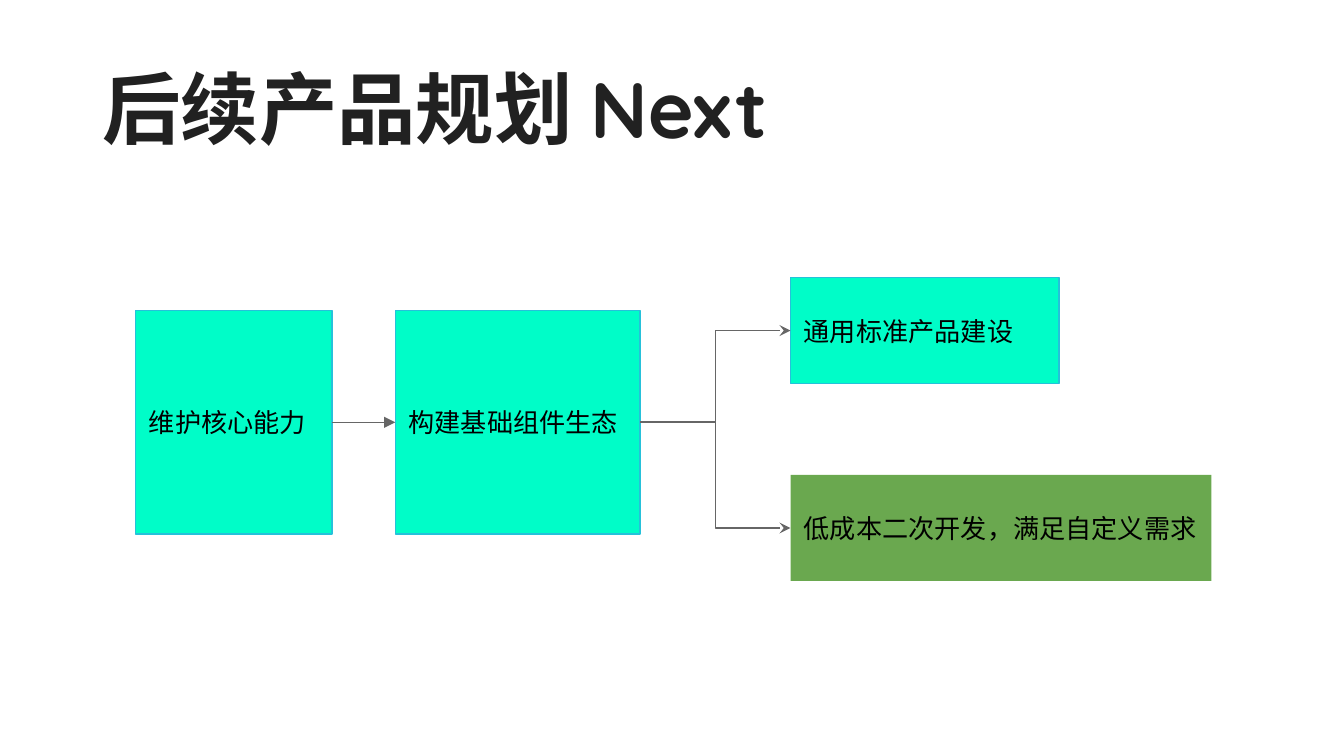
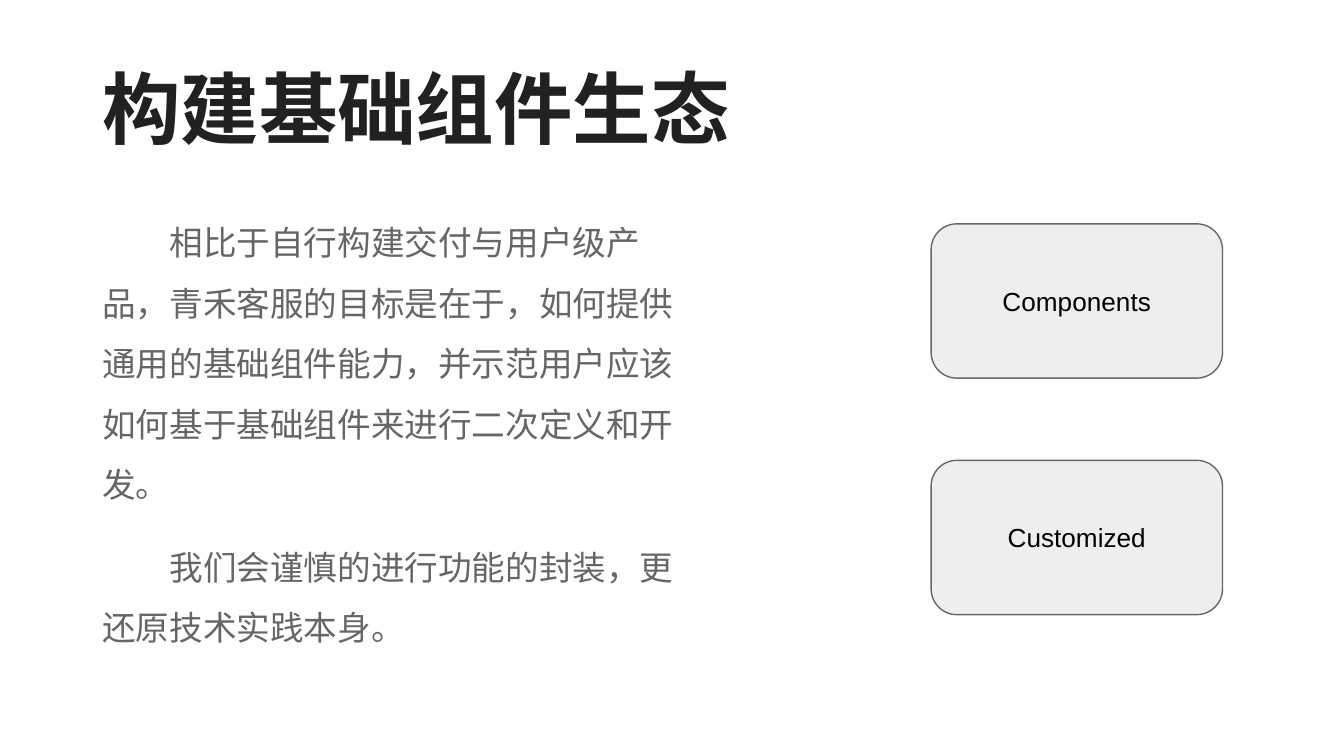
from lxml.etree import SubElement
from pptx import Presentation
from pptx.dml.color import RGBColor
from pptx.enum.shapes import MSO_CONNECTOR as CXN, MSO_SHAPE as SHAPE
from pptx.enum.text import MSO_ANCHOR as ANCHOR, PP_ALIGN as ALIGN
from pptx.oxml.ns import qn
from pptx.util import Pt

COLORS = {
    "title": "212121", "body": "666666", "label": "000000",
    "core": "00FDC8", "core_edge": "26C1DA", "custom": "6AA84F",
    "card": "EEEEEE", "line": "666666",
}
FONTS = {
    "title": {"name": "Quicksand", "size": Pt(42), "bold": True},
    "body": {"name": "Quicksand", "size": Pt(18)},
    "label": {"name": "Arial", "size": Pt(14)},
}
TOP, LEFT, BOTTOM, RIGHT = range(4)
TEXT_LEFT = 49.7


def rgb(name):
    return RGBColor.from_string(COLORS[name])


def apply(obj, values):
    for name, value in values.items():
        setattr(obj, name, value)


class Deck:
    def __init__(self):
        self.prs = Presentation()
        apply(self.prs, {"slide_width": Pt(720), "slide_height": Pt(405)})
        self.s = None

    def slide(self, title):
        self.s = self.prs.slides.add_slide(self.prs.slide_layouts[6])
        self.text(TEXT_LEFT, 21.6, 620.6, 78.5, [title], "title",
                  ANCHOR.MIDDLE, [{"line_spacing": 0.9}])

    def frame(self, tf, anchor, dx, dy):
        apply(tf, {"word_wrap": True, "vertical_anchor": anchor,
                   "margin_left": Pt(dx), "margin_right": Pt(dx),
                   "margin_top": Pt(dy), "margin_bottom": Pt(dy)})

    def paragraph(self, p, text, style, formats):
        apply(p, formats)
        r = p.add_run()
        r.text = text
        apply(r.font, FONTS[style])
        r.font.color.rgb = rgb(style)

    def text(self, x, y, w, h, texts, style, anchor, formats, indent=0):
        tf = self.s.shapes.add_textbox(Pt(x), Pt(y), Pt(w), Pt(h)).text_frame
        self.frame(tf, anchor, 5.1, 2.6)
        for i, (text, values) in enumerate(zip(texts, formats)):
            p = tf.add_paragraph() if i else tf.paragraphs[0]
            self.paragraph(p, text, style, values)
            pPr = p._p.get_or_add_pPr()
            pPr.set("indent", str(Pt(indent)))
            pPr.set("hangingPunct", "0")

    def box(self, x, y, w, h, text, fill, edge=None, kind=SHAPE.RECTANGLE,
            align=ALIGN.LEFT):
        sp = self.s.shapes.add_shape(kind, Pt(x), Pt(y), Pt(w), Pt(h))
        sp.shadow.inherit = False
        sp.fill.solid()
        sp.fill.fore_color.rgb = rgb(fill)
        if edge:
            sp.line.color.rgb = rgb(edge)
            sp.line.width = Pt(0.75)
        else:
            sp.line.fill.background()
        self.frame(sp.text_frame, ANCHOR.MIDDLE, 7.2, 7.2)
        self.paragraph(sp.text_frame.paragraphs[0], text, "label",
                       {"alignment": align})
        return sp

    def arrow(self, start, end, kind, head):
        """Join the right side of start to the left side of end."""
        c = self.s.shapes.add_connector(
            kind, start.left + start.width, start.top + start.height // 2,
            end.left, end.top + end.height // 2)
        c.begin_connect(start, RIGHT)
        c.end_connect(end, LEFT)
        c.line.color.rgb = rgb("line")
        c.line.width = Pt(0.75)
        SubElement(c.line._get_or_add_ln(), qn("a:tailEnd"), type=head)
        SubElement(c._element.spPr, qn("a:effectLst"))


def plan_slide(deck):
    deck.slide("后续产品规划 Next")
    core = deck.box(72.7, 166.4, 105.2, 119.7, "维护核心能力", "core", "core_edge")
    ecosystem = deck.box(211.8, 166.4, 131.2, 119.7, "构建基础组件生态",
                         "core", "core_edge")
    standard = deck.box(423.5, 148.8, 143.8, 56.7, "通用标准产品建设",
                        "core", "core_edge")
    custom = deck.box(423.5, 254.5, 225.5, 56.7,
                      "低成本二次开发，满足自定义需求", "custom")
    deck.arrow(core, ecosystem, CXN.STRAIGHT, "triangle")
    for goal in (standard, custom):
        deck.arrow(ecosystem, goal, CXN.ELBOW, "stealth")


def ecosystem_slide(deck):
    deck.slide("构建基础组件生态")
    deck.text(
        TEXT_LEFT, 105.6, 328.4, 262.8,
        ["相比于自行构建交付与用户级产品，青禾客服的目标是在于，如何提供通用的"
         "基础组件能力，并示范用户应该如何基于基础组件来进行二次定义和开发。",
         "我们会谨慎的进行功能的封装，更还原技术实践本身。"],
        "body", ANCHOR.TOP,
        [{"line_spacing": 1.5, "space_before": Pt(8)},
         {"line_spacing": 1.5, "space_before": Pt(12), "space_after": Pt(12)}],
        indent=36)
    for i, label in enumerate(("Components", "Customized")):
        deck.box(498.8, 119.9 + i * 126.7, 156.1, 82.7, label, "card", "line",
                 SHAPE.ROUNDED_RECTANGLE, ALIGN.CENTER)


def main():
    deck = Deck()
    plan_slide(deck)
    ecosystem_slide(deck)
    deck.prs.save("out.pptx")


if __name__ == "__main__":
    main()
